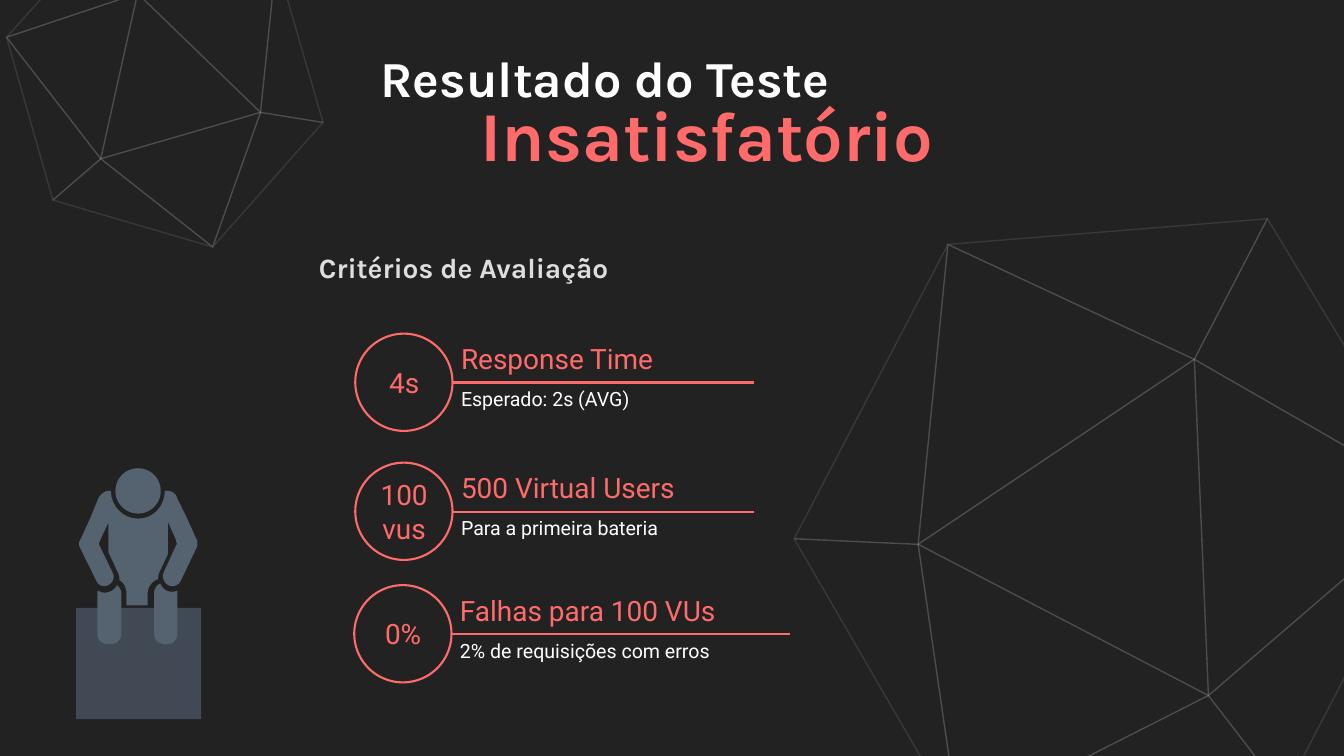
import pptx
import pptx.dml.color
import pptx.enum.shapes
import pptx.enum.text
import pptx.oxml
import pptx.oxml.ns
import pptx.util

Inches = pptx.util.Inches
Pt = pptx.util.Pt
RGBColor = pptx.dml.color.RGBColor
MSO_SHAPE = pptx.enum.shapes.MSO_SHAPE
PP_ALIGN = pptx.enum.text.PP_ALIGN
MSO_ANCHOR = pptx.enum.text.MSO_ANCHOR
qn = pptx.oxml.ns.qn

CHARCOAL = RGBColor(0x22, 0x22, 0x22)
WHITE = RGBColor(0xFF, 0xFF, 0xFF)
CORAL = RGBColor(0xFF, 0x6B, 0x6B)
SILVER = RGBColor(0xDC, 0xDE, 0xE0)
SLATE = RGBColor(0x55, 0x62, 0x70)
SEAT = RGBColor(0x40, 0x49, 0x54)

TRIANGLES = ["ABC", "BDA", "BEC", "DFA", "EGC", "ACH", "AFH", "CGH", "HIG", "HIF"]
LARGE_MESH = dict(A=(8.22, 9.46), B=(3.26, 11.97), C=(2.46, 6.46),
                  D=(9.72, 11.41), E=(0, 6.35), F=(12.76, 5.56),
                  G=(3.05, 0.51), H=(7.94, 2.79), I=(9.39, 0))
SMALL_MESH = dict(A=(5.04, 3.89), B=(4.09, 6.56), C=(1.87, 4.81),
                  D=(6.28, 4.09), E=(0.92, 5.63), F=(5.35, 0.87),
                  G=(0, 2.4), H=(2.6, 1.53), I=(2.16, 0))

BODY = [
    (2.4, 1.43), (2.19, 0.97), (2, 0.58), (1.98, 0.51, 1.91, 0.45, 1.82, 0.45),
    (1.76, 0.45), (1.76, 0.75, 1.54, 1, 1.23, 1), (0.93, 1, 0.69, 0.75, 0.69, 0.45),
    (0.64, 0.45), (0.57, 0.45, 0.5, 0.51, 0.45, 0.58), (0.29, 0.97), (0.08, 1.43),
    (0.06, 1.45, 0.06, 1.48, 0.06, 1.5), (0.06, 1.52, 0.06, 1.55, 0.08, 1.58),
    (0.4, 2.23), (0.43, 2.32, 0.54, 2.37, 0.64, 2.32),
    (0.73, 2.27, 0.78, 2.17, 0.72, 2.06), (0.45, 1.5), (0.5, 1.38), (0.64, 1.08),
    (0.64, 1.66), (0.82, 2.05), (0.86, 2.12, 0.86, 2.16, 0.86, 2.22),
    (0.94, 2.26, 1, 2.37, 1, 2.48), (1, 2.72), (1.42, 2.72), (1.42, 2.48),
    (1.42, 2.35, 1.52, 2.23, 1.63, 2.2), (1.63, 2.14, 1.63, 2.1, 1.67, 2.03),
    (1.82, 1.71), (1.82, 1.06), (1.97, 1.39), (2, 1.5), (1.74, 2.06),
    (1.7, 2.17, 1.74, 2.27, 1.83, 2.32), (1.93, 2.37, 2.04, 2.32, 2.08, 2.23),
    (2.39, 1.58), (2.4, 1.55, 2.42, 1.52, 2.4, 1.5), (2.42, 1.48, 2.4, 1.45, 2.4, 1.43),
]
RIGHT_LEG = [
    (1.8, 2.43), (1.74, 2.4, 1.7, 2.35, 1.67, 2.29), (1.59, 2.32, 1.55, 2.4, 1.55, 2.48),
    (1.55, 3.29), (1.55, 3.4, 1.63, 3.49, 1.76, 3.49), (1.82, 3.49),
    (1.93, 3.49, 2.01, 3.4, 2.01, 3.29), (2.01, 2.43), (1.94, 2.46, 1.87, 2.46, 1.8, 2.43),
]
LEFT_LEG = [
    (0.81, 2.32), (0.79, 2.37, 0.75, 2.41, 0.69, 2.44), (0.6, 2.48, 0.51, 2.48, 0.44, 2.43),
    (0.42, 2.44, 0.42, 2.46, 0.42, 2.48), (0.42, 3.29),
    (0.42, 3.4, 0.51, 3.49, 0.63, 3.49), (0.69, 3.49),
    (0.81, 3.49, 0.9, 3.4, 0.9, 3.29), (0.9, 2.48), (0.9, 2.43, 0.87, 2.37, 0.81, 2.32),
]


def flatten(segments, steps=8):
    points = [segments[0]]
    for segment in segments[1:]:
        if len(segment) == 2:
            points.append(segment)
            continue
        curve = [points[-1], segment[:2], segment[2:4], segment[4:]]
        for step in range(1, steps + 1):
            t = step / steps
            weights = ((1 - t) ** 3, 3 * t * (1 - t) ** 2, 3 * t * t * (1 - t), t ** 3)
            points.append(tuple(sum(w * p[axis] for w, p in zip(weights, curve))
                                for axis in (0, 1)))
    return points


def style(shape, fill=None, line=None, width=3):
    shape.shadow.inherit = False
    if fill is None:
        shape.fill.background()
    else:
        shape.fill.solid()
        shape.fill.fore_color.rgb = fill
    if line is None:
        shape.line.fill.background()
    else:
        shape.line.color.rgb = line
        shape.line.width = Pt(width)


def add_outline(shapes, left, top, points):
    corners = [(Inches(left + x), Inches(top + y)) for x, y in points]
    builder = shapes.build_freeform(*corners[0])
    builder.add_line_segments(corners[1:], close=True)
    return builder.convert_to_shape()


def add_text(shapes, left, top, width, height, lines, align=PP_ALIGN.LEFT,
             spacing=0.9, anchor=MSO_ANCHOR.TOP):
    box = shapes.add_textbox(Inches(left), Inches(top), Inches(width), Inches(height))
    frame = box.text_frame
    frame.word_wrap = True
    frame.vertical_anchor = anchor
    frame.margin_left = frame.margin_right = Inches(0.1)
    frame.margin_top = frame.margin_bottom = Inches(0.1)
    for index, (text, size, font, color, bold) in enumerate(lines):
        paragraph = frame.add_paragraph() if index else frame.paragraphs[0]
        paragraph.text = text
        paragraph.alignment = align
        paragraph.line_spacing = spacing
        if index:
            paragraph.space_before = Pt(20)
        paragraph.font.size = Pt(size)
        paragraph.font.name = font
        paragraph.font.bold = bold
        paragraph.font.color.rgb = color


def add_mesh(slide, left, top, vertices, triangles):
    shapes = slide.shapes.add_group_shape().shapes
    for triangle in triangles:
        face = add_outline(shapes, left, top, [vertices[name] for name in triangle])
        style(face, line=WHITE, width=2)
        color = face.line._ln.find(".//" + qn("a:srgbClr"))
        alpha = pptx.oxml.parse_xml(
            '<a:alpha xmlns:a="http://schemas.openxmlformats.org/drawingml/2006/main" val="10000"/>')
        color.append(alpha)


def add_heading(slide, left, top, width, height, text, size, color):
    add_text(slide.shapes, left, top, width, height,
             [(text, size, "Karla", color, True)], PP_ALIGN.CENTER)


def add_seated_figure(slide, left, top):
    shapes = slide.shapes.add_group_shape().shapes
    seat = shapes.add_shape(MSO_SHAPE.RECTANGLE, Inches(left), Inches(top + 2.77),
                            Inches(2.48), Inches(2.21))
    style(seat, SEAT)
    head = shapes.add_shape(MSO_SHAPE.OVAL, Inches(left + 0.78), Inches(top),
                            Inches(0.9), Inches(0.9))
    style(head, SLATE)
    for limb in (RIGHT_LEG, LEFT_LEG, BODY):
        style(add_outline(shapes, left, top, flatten(limb)), SLATE)


def add_criterion(slide, left, top, width, value, title, detail):
    shapes = slide.shapes.add_group_shape().shapes
    diameter = 1.93
    middle = top + 0.97
    circle = shapes.add_shape(MSO_SHAPE.OVAL, Inches(left), Inches(top),
                              Inches(diameter), Inches(diameter))
    style(circle, line=CORAL)
    add_text(shapes, left - 0.76, top, 3.46, diameter,
             [(value, 40, "Roboto", CORAL, False)], PP_ALIGN.CENTER, 1, MSO_ANCHOR.MIDDLE)
    rule = shapes.add_connector(pptx.enum.shapes.MSO_CONNECTOR.STRAIGHT,
                                Inches(left + width), Inches(middle),
                                Inches(left + diameter), Inches(middle))
    rule.line.color.rgb = CORAL
    rule.line.width = Pt(3)
    properties = rule._element.spPr
    properties.append(properties.makeelement(qn("a:effectLst")))
    add_text(shapes, left + 2, top + 0.14, width - 2, 1.55,
             [(title, 40, "Roboto", CORAL, False), (detail, 28, "Roboto", WHITE, False)])


def main():
    presentation = pptx.Presentation()
    presentation.slide_width = Inches(26.67)
    presentation.slide_height = Inches(15)
    slide = presentation.slides.add_slide(presentation.slide_layouts[6])
    slide.background.fill.solid()
    slide.background.fill.fore_color.rgb = CHARCOAL

    add_mesh(slide, 15.76, 4.34, LARGE_MESH, TRIANGLES)
    add_heading(slide, 1.53, 1.9, 25, 1.87, "Insatisfatório", 100, CORAL)
    add_heading(slide, 0.04, 0.97, 23.93, 1.39, "Resultado do Teste", 72, WHITE)
    add_mesh(slide, 0.13, -1.66, SMALL_MESH, TRIANGLES[:-1])
    add_seated_figure(slide, 1.51, 9.29)
    add_heading(slide, 0.2, 4.94, 18, 0.87, "Critérios de Avaliação", 40, SILVER)
    for left, top, width, value, title, detail in (
        (7.05, 6.62, 7.91, "4s", "Response Time", "Esperado: 2s (AVG)"),
        (7.05, 9.18, 7.91, "100\vvus", "500 Virtual Users", "Para a primeira bateria"),
        (7.03, 11.61, 8.64, "0%", "Falhas para 100 VUs", "2% de requisições com erros"),
    ):
        add_criterion(slide, left, top, width, value, title, detail)
    presentation.save("out.pptx")


if __name__ == "__main__":
    main()
